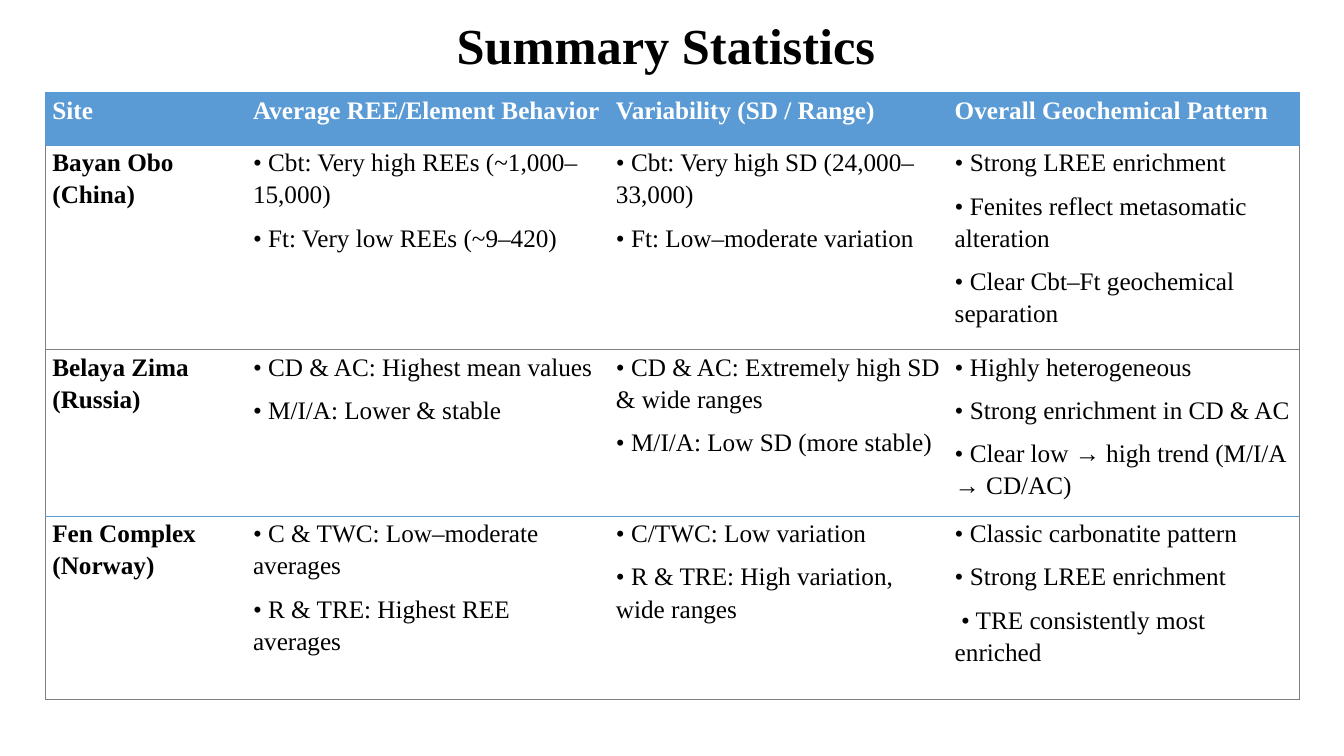
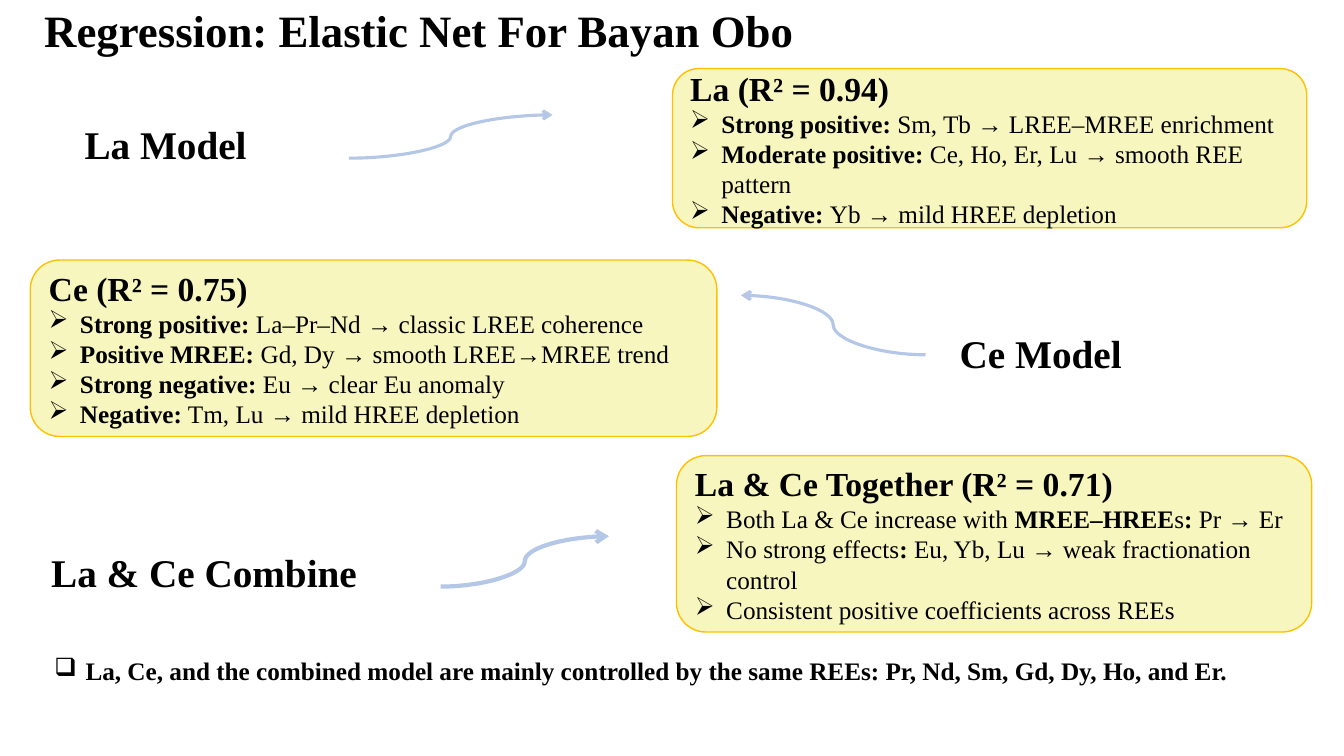
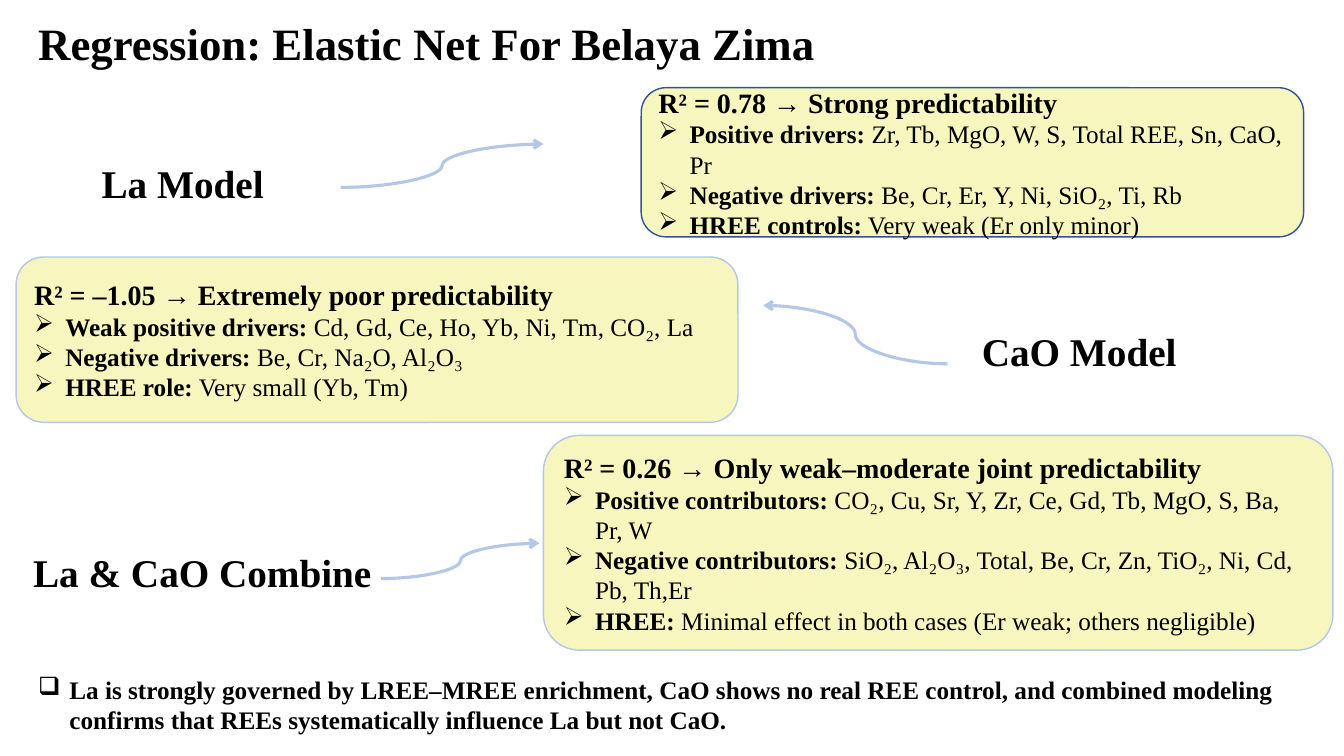
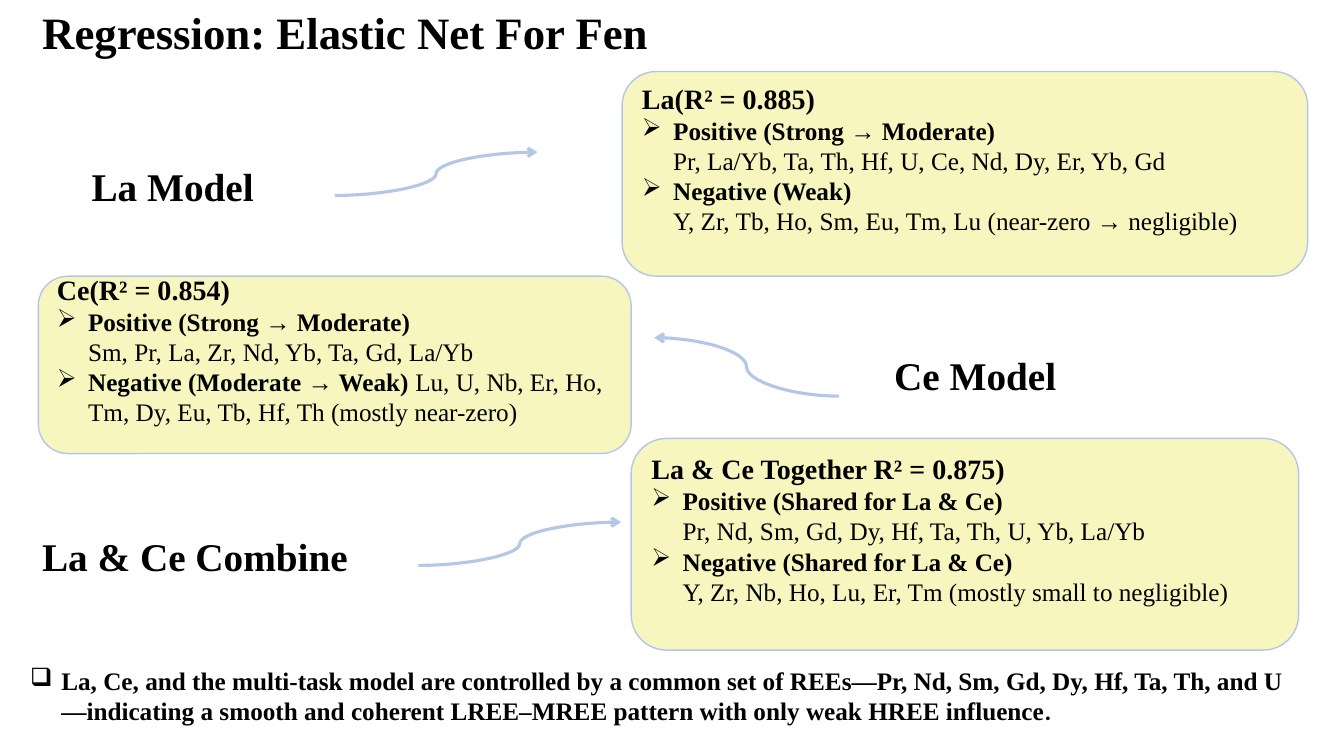
from lxml.etree import SubElement
from pptx import Presentation
from pptx.dml.color import RGBColor
from pptx.enum.shapes import MSO_CONNECTOR as LINK, MSO_SHAPE as SHAPE
from pptx.enum.text import MSO_ANCHOR as ANCHOR, PP_ALIGN as ALIGN
from pptx.oxml.ns import qn
from pptx.util import Emu, Pt

FONT = "Times New Roman"
BLACK, WHITE, GREY = "000000", "FFFFFF", "7F7F7F"
BLUE, PALE, NAVY = "5B9BD5", "B4C7E7", "325491"
CREAM, GOLD = "F7F6BF", "FFC000"
NO_STYLE = "{2D5ABB26-0587-4C30-8999-92F81FD0307C}"
HANG = 31


def px(n):
    """Turn px (100 to the inch) into EMU."""
    return Emu(n * 9144)


def paint(color, hue):
    color.rgb = RGBColor.from_string(hue)


def fill(part, hue):
    part.fill.solid()
    paint(part.fill.fore_color, hue)


def write(para, text, size=18, hue=BLACK, bold=False, face=FONT):
    """Add runs; the parts between asterisks switch the weight."""
    for i, piece in enumerate(text.split("*")):
        if piece:
            run = para.add_run()
            run.text = piece
            font = run.font
            font.size, font.name = Pt(size), face
            font.bold = bold != bool(i % 2)
            paint(font.color, hue)


def paras(frame, count):
    """Return the given number of paragraphs of an empty frame."""
    return [frame.paragraphs[0]] + [frame.add_paragraph() for _ in range(count - 1)]


def indent(para, mark=None):
    """Indent a paragraph, with a hanging bullet if a mark is given."""
    props = para._p.get_or_add_pPr()
    props.set("marL", str(px(HANG)))
    if mark:
        props.set("indent", str(px(-HANG)))
        SubElement(props, qn("a:buChar"), char=mark)


def box(slide, at, text, **fmt):
    frame = slide.shapes.add_textbox(*map(px, at)).text_frame
    frame.word_wrap = True
    para = frame.paragraphs[0]
    write(para, text, bold=True, **fmt)
    return para


def title(slide, at, text):
    box(slide, at, text, size=32)


def label(slide, at, text):
    box(slide, at, text, size=28)


def note(slide, at, text):
    para = box(slide, at, text)
    indent(para, "❑")
    return para


def card(slide, at, head, lines, size=20, edge=PALE, foot=0):
    """Draw a rounded card; a line that starts with + has no bullet."""
    shape = slide.shapes.add_shape(SHAPE.ROUNDED_RECTANGLE, *map(px, at))
    shape.shadow.inherit = False
    fill(shape, CREAM)
    paint(shape.line.color, edge)
    shape.line.width = Pt(1)
    frame = shape.text_frame
    frame.word_wrap = True
    frame.vertical_anchor = ANCHOR.MIDDLE
    frame.margin_bottom = px(5 + foot)
    first, *rest = paras(frame, len(lines) + 1)
    first.alignment = ALIGN.LEFT
    write(first, head, size=size, bold=True)
    for para, line in zip(rest, lines):
        para.alignment = ALIGN.LEFT
        indent(para, None if line.startswith("+") else "➢")
        write(para, line.removeprefix("+"))


def arrow(slide, start, end, width=2.25):
    link = slide.shapes.add_connector(LINK.CURVE, *map(px, start + end))
    paint(link.line.color, PALE)
    link.line.width = Pt(width)
    SubElement(link.line._get_or_add_ln(), qn("a:tailEnd"), type="arrow")
    SubElement(link._element.spPr, qn("a:effectLst"))


def border(cell, **sides):
    """Set cell borders, given as L, R, T, B in that order."""
    props = cell._tc.get_or_add_tcPr()
    for side, hue in sides.items():
        line = SubElement(props, qn("a:ln" + side), w=str(Pt(0.5)))
        if hue:
            solid = SubElement(line, qn("a:solidFill"))
            SubElement(solid, qn("a:srgbClr"), val=hue)
        else:
            SubElement(line, qn("a:noFill"))


def space(para, after=8, before=0):
    para.line_spacing = 1.15
    para.space_after, para.space_before = Pt(after), Pt(before)


def grid(slide, at, cols, rows, data, rules):
    """Draw a table; rules are the colours of the lines across it."""
    holder = slide.shapes.add_table(len(rows), len(cols), *map(px, at))
    table = holder.table
    table.horz_banding = False
    table._tbl.tblPr.find(qn("a:tableStyleId")).text = NO_STYLE
    for col, wide in zip(table.columns, cols):
        col.width = px(wide)
    for row, high in zip(table.rows, rows):
        row.height = px(high)
    last = len(cols) - 1
    for r, line in enumerate(data):
        for c, text in enumerate(line):
            cell = table.cell(r, c)
            edge = GREY if r else BLUE
            border(cell, L=None if c else edge, R=edge if c == last else None,
                   T=rules[r], B=rules[r + 1])
            fill(cell, WHITE if r else BLUE)
            cell.margin_left = cell.margin_right = px(7)
            cell.margin_top = cell.margin_bottom = 0
            parts = text.split("\n")
            for para, part in zip(paras(cell.text_frame, len(parts)), parts):
                space(para)
                write(para, part, hue=BLACK if r else WHITE, bold=not (r and c))


def stats(slide):
    head = box(slide, (327, 0, 667, 75), "Summary Statistics", size=36)
    head.alignment = ALIGN.CENTER
    space(head, before=12)
    data = [
        ("Site", "Average REE/Element Behavior", "Variability (SD / Range)",
         "Overall Geochemical Pattern"),
        ("Bayan Obo (China)",
         "• Cbt: Very high REEs (~1,000–15,000)\n• Ft: Very low REEs (~9–420)",
         "• Cbt: Very high SD (24,000–33,000)\n• Ft: Low–moderate variation",
         "• Strong LREE enrichment\n• Fenites reflect metasomatic alteration\n"
         "• Clear Cbt–Ft geochemical separation"),
        ("Belaya Zima (Russia)",
         "• CD & AC: Highest mean values\n• M/I/A: Lower & stable",
         "• CD & AC: Extremely high SD & wide ranges\n• M/I/A: Low SD (more stable)",
         "• Highly heterogeneous\n• Strong enrichment in CD & AC\n"
         "• Clear low → high trend (M/I/A → CD/AC)"),
        ("Fen Complex (Norway)",
         "• C & TWC: Low–moderate averages\n• R & TRE: Highest REE averages",
         "• C/TWC: Low variation\n• R & TRE: High variation, wide ranges",
         "• Classic carbonatite pattern\n• Strong LREE enrichment\n"
         " • TRE consistently most enriched"),
    ]
    grid(slide, (45, 92, 1244, 602), (199, 360, 336, 349), (52, 203, 165, 182),
         data, (BLUE, BLUE, GREY, BLUE, GREY))


def bayan(slide):
    title(slide, (34, -2, 972, 64), "Regression: Elastic Net For Bayan Obo")
    label(slide, (74, 114, 248, 57), "La Model")
    label(slide, (942, 322, 257, 57), "Ce Model")
    label(slide, (41, 539, 417, 57), "La & Ce Combine")
    look = dict(size=24, edge=GOLD)
    card(slide, (667, 68, 629, 158), "La (R² = 0.94)", [
        "*Strong positive:* Sm, Tb → LREE–MREE enrichment",
        "*Moderate positive:* Ce, Ho, Er, Lu → smooth REE pattern",
        "*Negative: *Yb → mild HREE depletion"], **look)
    card(slide, (30, 258, 681, 175), "Ce (R² = 0.75)", [
        "*Strong positive:* La–Pr–Nd → classic LREE coherence",
        "*Positive MREE: *Gd, Dy → smooth LREE→MREE trend",
        "*Strong negative: *Eu → clear Eu anomaly",
        "*Negative:* Tm, Lu → mild HREE depletion"], **look)
    card(slide, (671, 452, 630, 175), "La & Ce Together (R² = 0.71)", [
        "Both La & Ce increase with *MREE–HREE*s*: *Pr → Er",
        "No strong effects*: *Eu, Yb, Lu → weak fractionation control",
        "Consistent positive coefficients across REEs"], **look)
    note(slide, (44, 645, 1207, 40),
         "La, Ce, and the combined model are mainly controlled by the same REEs: "
         "Pr, Nd, Sm, Gd, Dy, Ho, and Er.")
    arrow(slide, (346, 157), (548, 114))
    arrow(slide, (437, 582), (604, 532), width=3)
    arrow(slide, (918, 352), (735, 293))


def belaya(slide):
    title(slide, (28, 11, 972, 64), "Regression: Elastic Net For Belaya Zima")
    label(slide, (91, 153, 326, 57), "La Model")
    label(slide, (964, 320, 401, 57), "CaO Model")
    label(slide, (23, 539, 411, 57), "La & CaO Combine")
    card(slide, (636, 87, 657, 148), "R² = 0.78 → Strong predictability", [
        "*Positive drivers: *Zr, Tb, MgO, W, S, Total REE, Sn, CaO, Pr",
        "*Negative drivers:* Be, Cr, Er, Y, Ni, SiO₂, Ti, Rb",
        "*HREE controls:* Very weak (Er only minor)"], edge=NAVY)
    card(slide, (16, 255, 716, 164), "R² = –1.05 → Extremely poor predictability", [
        "*Weak positive drivers:* Cd, Gd, Ce, Ho, Yb, Ni, Tm, CO₂, La",
        "*Negative drivers:* Be, Cr, Na₂O, Al₂O₃",
        "*HREE role:* Very small (Yb, Tm)"])
    card(slide, (539, 432, 783, 213),
         "R² = 0.26 → Only weak–moderate joint predictability", [
             "*Positive contributors:* CO₂, Cu, Sr, Y, Zr, Ce, Gd, Tb, MgO, S, Ba, Pr, W",
             "*Negative contributors: *SiO₂, Al₂O₃, Total, Be, Cr, Zn, TiO₂, Ni, Cd, "
             "Pb, Th,Er",
             "*HREE:* Minimal effect in both cases (Er weak; others negligible)"])
    note(slide, (28, 664, 1294, 71),
         "La is strongly governed by LREE–MREE enrichment, CaO shows no real REE "
         "control, and combined modeling confirms that REEs systematically influence "
         "La but not CaO.")
    arrow(slide, (338, 186), (539, 143))
    arrow(slide, (378, 574), (535, 539))
    arrow(slide, (940, 361), (757, 303))


def fen(slide):
    title(slide, (32, 0, 910, 64), "Regression: Elastic Net For Fen")
    label(slide, (81, 156, 251, 104), "La Model")
    label(slide, (877, 344, 230, 57), "Ce Model")
    label(slide, (32, 523, 423, 57), "La & Ce Combine")
    card(slide, (617, 71, 680, 203), "La(R² = 0.885)", [
        "*Positive (Strong → Moderate)",
        "+Pr, La/Yb, Ta, Th, Hf, U, Ce, Nd, Dy, Er, Yb, Gd",
        "*Negative (Weak)",
        "+Y, Zr, Tb, Ho, Sm, Eu, Tm, Lu (near-zero → negligible)"], foot=30)
    card(slide, (38, 274, 588, 176), "Ce(R² = 0.854)", [
        "*Positive (Strong → Moderate)",
        "+Sm, Pr, La, Zr, Nd, Yb, Ta, Gd, La/Yb",
        "*Negative (Moderate → Weak) *Lu, U, Nb, Er, Ho, Tm, Dy, Eu, Tb, Hf, Th "
        "(mostly near-zero)"], foot=30)
    card(slide, (626, 435, 662, 210), "La & Ce Together R² = 0.875)", [
        "*Positive (Shared for La & Ce)",
        "+Pr, Nd, Sm, Gd, Dy, Hf, Ta, Th, U, Yb, La/Yb",
        "*Negative (Shared for La & Ce)",
        "+Y, Zr, Nb, Ho, Lu, Er, Tm (mostly small to negligible)"], foot=30)
    arrow(slide, (332, 194), (533, 151))
    arrow(slide, (415, 561), (616, 518))
    arrow(slide, (832, 393), (649, 335))
    para = note(slide, (20, 655, 1268, 71),
                "La, Ce, and the multi-task model are controlled by a common set of "
                "REEs—Pr, Nd, Sm, Gd, Dy, Hf, Ta, Th, and U—indicating a smooth and "
                "coherent LREE–MREE pattern with only weak HREE influence")
    write(para, ".", bold=True, face="Calibri")


def main():
    deck = Presentation()
    deck.slide_width, deck.slide_height = px(1333), px(750)
    for draw in (stats, bayan, belaya, fen):
        draw(deck.slides.add_slide(deck.slide_layouts[6]))
    deck.save("out.pptx")


if __name__ == "__main__":
    main()
